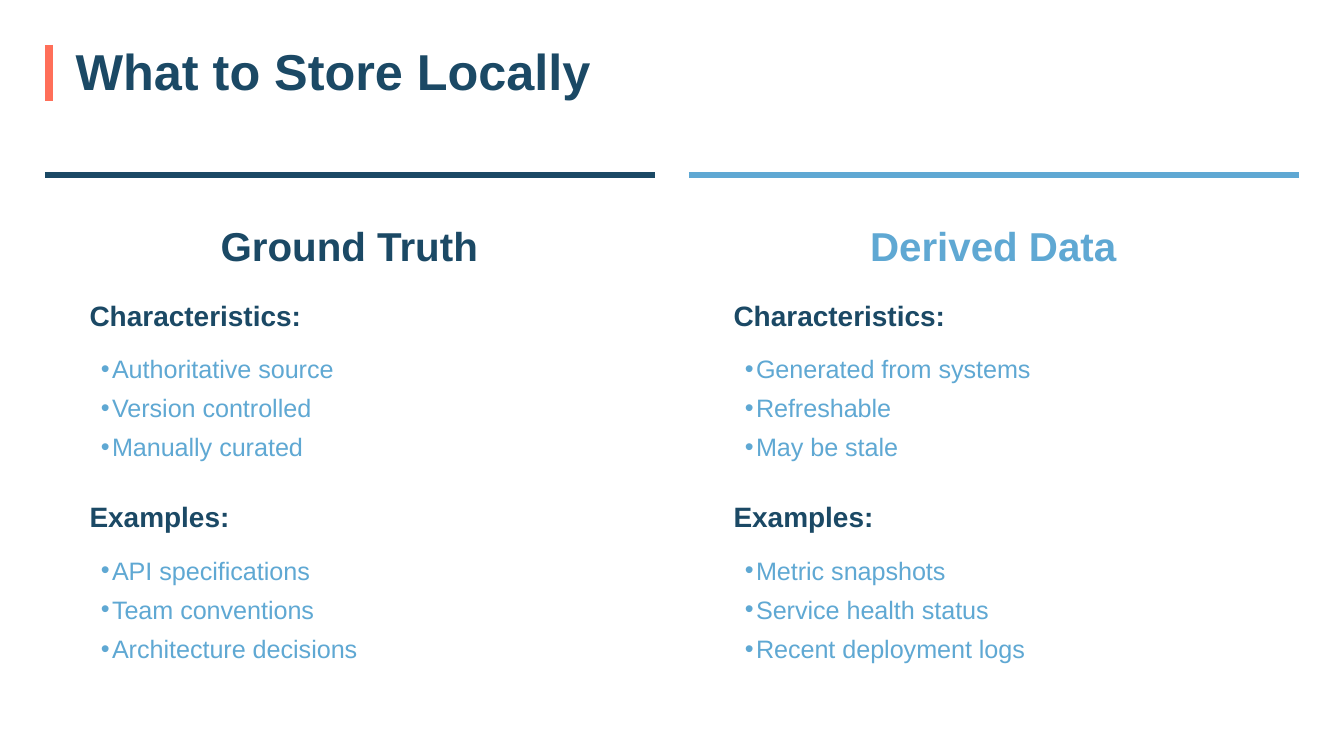
from lxml.etree import SubElement
from pptx import Presentation
from pptx.dml.color import RGBColor
from pptx.enum.shapes import MSO_CONNECTOR
from pptx.enum.text import MSO_ANCHOR, MSO_AUTO_SIZE, PP_ALIGN
from pptx.oxml.ns import qn
from pptx.util import Pt

PX = 9525
FONT = "Arial"
NAVY = RGBColor(0x1B, 0x49, 0x65)
SKY = RGBColor(0x5F, 0xA8, 0xD3)
CORAL = RGBColor(0xFF, 0x6F, 0x59)

COMPARISON_LAYOUT = 4
COLUMN_LEFT, COLUMN_WIDTH, COLUMN_PITCH = 32, 436, 460
SECTION_TOP, SECTION_PITCH = 209, 144
COLUMNS = [
    ("Ground Truth", NAVY, [
        ("Characteristics:", ["Authoritative source", "Version controlled", "Manually curated"]),
        ("Examples:", ["API specifications", "Team conventions", "Architecture decisions"]),
    ]),
    ("Derived Data", SKY, [
        ("Characteristics:", ["Generated from systems", "Refreshable", "May be stale"]),
        ("Examples:", ["Metric snapshots", "Service health status", "Recent deployment logs"]),
    ]),
]


class SlideBuilder:
    """Hold the text style and the slide being built."""

    def __init__(self, slide):
        self.slide = slide
        self.bodies = iter([holder for holder in slide.placeholders
                            if holder.placeholder_format.idx > 0])

    def place(self, box, left, top, width, height, inset=0):
        box.left, box.top = left * PX, top * PX
        box.width, box.height = width * PX, height * PX
        frame = box.text_frame
        frame.word_wrap = True
        frame.auto_size = MSO_AUTO_SIZE.NONE
        frame.vertical_anchor = MSO_ANCHOR.TOP
        frame.margin_left = inset * PX
        frame.margin_top = frame.margin_right = frame.margin_bottom = 0
        return frame

    def add_text(self, para, text, size, color, leading, bold=True, align=PP_ALIGN.LEFT):
        para.alignment = align
        para.line_spacing = Pt(leading)
        para.space_before = Pt(0)
        span = para.add_run()
        span.text = text
        span.font.name = FONT
        span.font.size = Pt(size)
        span.font.bold = bold
        span.font.color.rgb = color

    def title(self, text, left, top, width, height):
        frame = self.place(self.slide.shapes.title, left, top, width, height)
        self.add_text(frame.paragraphs[0], text, 27, NAVY, 30)

    def label(self, text, left, top, width, height, size, color, leading, align=PP_ALIGN.LEFT):
        box = self.slide.shapes.add_textbox(0, 0, 0, 0)
        frame = self.place(box, left, top, width, height)
        self.add_text(frame.paragraphs[0], text, size, color, leading, align=align)

    def bullets(self, items, left, top, width, height, indent=8):
        frame = self.place(next(self.bodies), left, top, width, height, inset=indent)
        for index, item in enumerate(items):
            para = frame.add_paragraph() if index else frame.paragraphs[0]
            properties = para._p.get_or_add_pPr()
            properties.set("marL", str(indent * PX))
            properties.set("indent", str(-indent * PX))
            SubElement(properties, qn("a:buChar"), char="•")
            self.add_text(para, item, 13.5, SKY, 21, bold=False)

    def line(self, x1, y1, x2, y2, color, weight):
        rule = self.slide.shapes.add_connector(
            MSO_CONNECTOR.STRAIGHT, x1 * PX, y1 * PX, x2 * PX, y2 * PX)
        rule.line.color.rgb = color
        rule.line.width = Pt(weight)
        SubElement(rule._element.spPr, qn("a:effectLst"))


def main():
    deck = Presentation()
    deck.slide_width, deck.slide_height = 960 * PX, 540 * PX
    page = SlideBuilder(deck.slides.add_slide(deck.slide_layouts[COMPARISON_LAYOUT]))

    page.line(35, 32, 35, 72, CORAL, 4.5)
    page.title("What to Store Locally", 54, 32, 446, 40)

    for column, (name, color, sections) in enumerate(COLUMNS):
        left = COLUMN_LEFT + column * COLUMN_PITCH
        page.line(left, 125, left + COLUMN_WIDTH, 125, color, 3)
        page.label(name, left + 28, 158, 379, 35, 21.6, color, 25.9, PP_ALIGN.CENTER)
        for row, (heading, items) in enumerate(sections):
            top = SECTION_TOP + row * SECTION_PITCH
            page.label(heading, left + 32, top, 379, 28, 15, NAVY, 21)
            page.bullets(items, left + 32, top + 37, 372, 92)

    deck.save("out.pptx")


if __name__ == "__main__":
    main()
